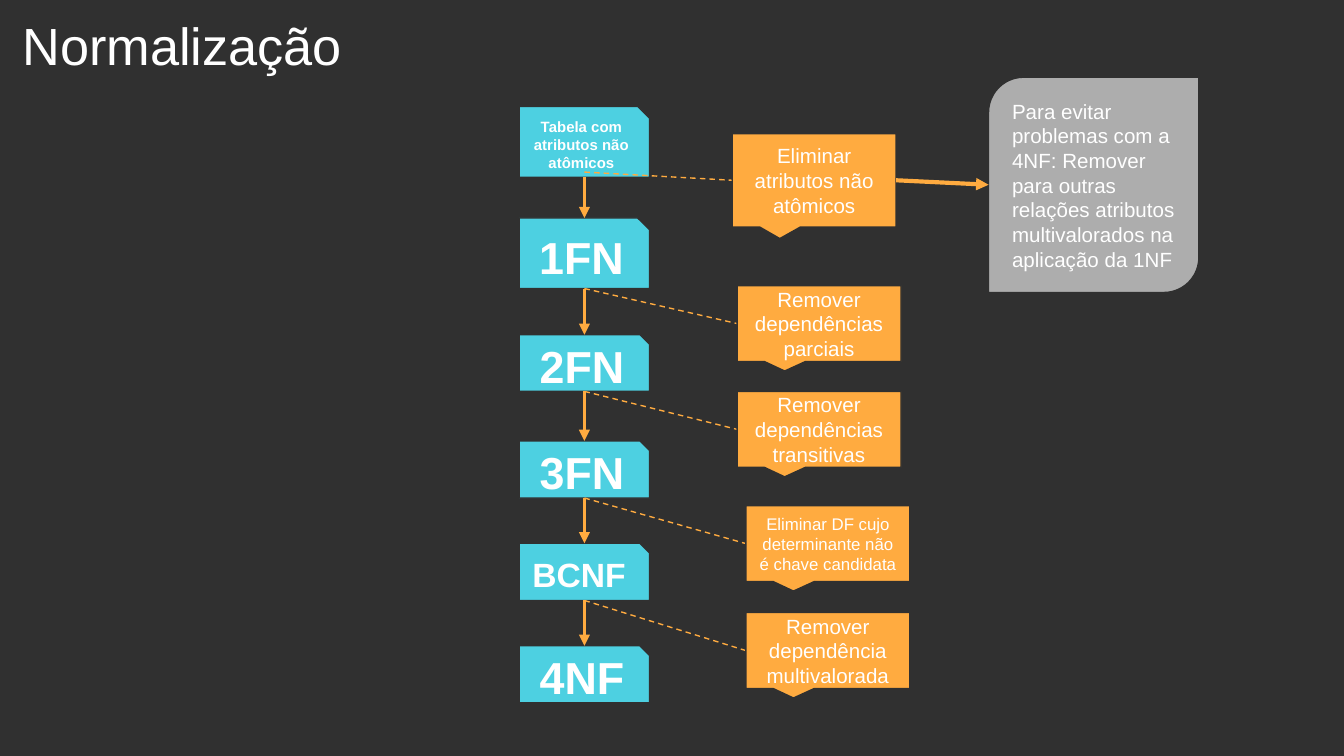
from pptx import Presentation
from pptx.dml.color import RGBColor
from pptx.enum.dml import MSO_LINE
from pptx.enum.shapes import MSO_CONNECTOR, MSO_SHAPE
from pptx.enum.text import MSO_ANCHOR, PP_ALIGN
from pptx.oxml.ns import qn
from pptx.util import Pt
from lxml import etree

SNIP = MSO_SHAPE.SNIP_1_RECTANGLE
CALL = MSO_SHAPE.ROUNDED_RECTANGULAR_CALLOUT
LEAF = MSO_SHAPE.ROUND_2_DIAG_RECTANGLE
LINE = MSO_CONNECTOR.STRAIGHT
DASH = MSO_LINE.DASH
LEFT, MID = PP_ALIGN.LEFT, PP_ALIGN.CENTER
DARK = RGBColor(0x30, 0x30, 0x30)
WHITE = RGBColor(0xFF, 0xFF, 0xFF)
CYAN = RGBColor(0x4D, 0xD0, 0xE1)
AMBER = RGBColor(0xFF, 0xAB, 0x40)
GRAY = RGBColor(0xAD, 0xAD, 0xAD)

deck = Presentation()
deck.slide_width, deck.slide_height = Pt(720), Pt(405)
slide = deck.slides.add_slide(deck.slide_layouts[6])
slide.background.fill.solid()
slide.background.fill.fore_color.rgb = DARK


def write(text, box, kind=None, fill=None, size=11, bold=False,
          align=MID, anchor=MSO_ANCHOR.MIDDLE, adjust=()):
    area = [Pt(n) for n in box]
    if kind is None:
        shape = slide.shapes.add_textbox(*area)
    else:
        shape = slide.shapes.add_shape(kind, *area)
        shape.shadow.inherit = False
        shape.fill.solid()
        shape.fill.fore_color.rgb = fill
        shape.line.color.rgb = DARK
        shape.line.width = Pt(0.75)
        for i, value in enumerate(adjust):
            shape.adjustments[i] = value
    frame = shape.text_frame
    frame.word_wrap = True
    frame.vertical_anchor = anchor
    frame.margin_left = frame.margin_right = Pt(7.2)
    frame.margin_top = frame.margin_bottom = Pt(7.2)
    para = frame.paragraphs[0]
    para.alignment = align
    run = para.add_run()
    run.text = text
    run.font.name = "Arial"
    run.font.size = Pt(size)
    run.font.bold = bold
    run.font.color.rgb = WHITE


def link(start, end, width, dash=False):
    line = slide.shapes.add_connector(LINE, *[Pt(n) for n in start + end])
    line.line.color.rgb = AMBER
    line.line.width = Pt(width)
    if dash:
        line.line.dash_style = DASH
    else:
        tail = etree.SubElement(line.line._get_or_add_ln(), qn("a:tailEnd"))
        tail.set("type", "triangle")
    etree.SubElement(line._element.spPr, qn("a:effectLst"))


write("Normalização", (5, 0, 219, 67), size=28, align=LEFT,
      anchor=MSO_ANCHOR.TOP)

steps = [
    ("Tabela com atributos não atômicos", 57, 38, 8, MID),
    ("1FN", 116.8, 37.8, 24, MID),
    ("2FN", 179.3, 30.4, 24, MID),
    ("3FN", 236.2, 30.6, 24, MID),
    ("BCNF", 291.1, 30.6, 18, LEFT),
    ("4NF", 346, 30.6, 24, MID),
]
for text, top, high, size, align in steps:
    write(text, (278.2, top, 69.8, high), SNIP, CYAN, size=size, bold=True,
          align=align, adjust=[0.167])

axis = 313.1
for (_, top, high, _, _), after in zip(steps, steps[1:]):
    link((axis, top + high), (axis, after[1]), 1.5)

rules = [
    ("Eliminar atributos não atômicos", 392.3, 71.6, 50, 11, 92.2),
    ("Remover dependências parciais", 394.9, 153, 40.7, 11, 154.6),
    ("Remover dependências transitivas", 394.9, 209.7, 40.7, 11, 209.7),
    ("Eliminar DF cujo determinante não é chave candidata",
     399.6, 270.9, 40.7, 9, 266.8),
    ("Remover dependência multivalorada", 399.6, 328.2, 40.7, 11, 321.7),
]
for text, left, top, high, size, start in rules:
    link((axis, start), (left, top + high / 2), 0.75, dash=True)
    write(text, (left, top, 87.8, high), CALL, AMBER, size=size,
          adjust=[-0.21, 0.625, 0])

write("Para evitar problemas com a 4NF: Remover para outras relações "
      "atributos multivalorados na aplicação da 1NF",
      (529.6, 41.4, 112.7, 115.3), LEAF, GRAY, align=LEFT,
      adjust=[0.167, 0])
link((480.1, 96.6), (529.6, 99), 2.25)

deck.save("out.pptx")
